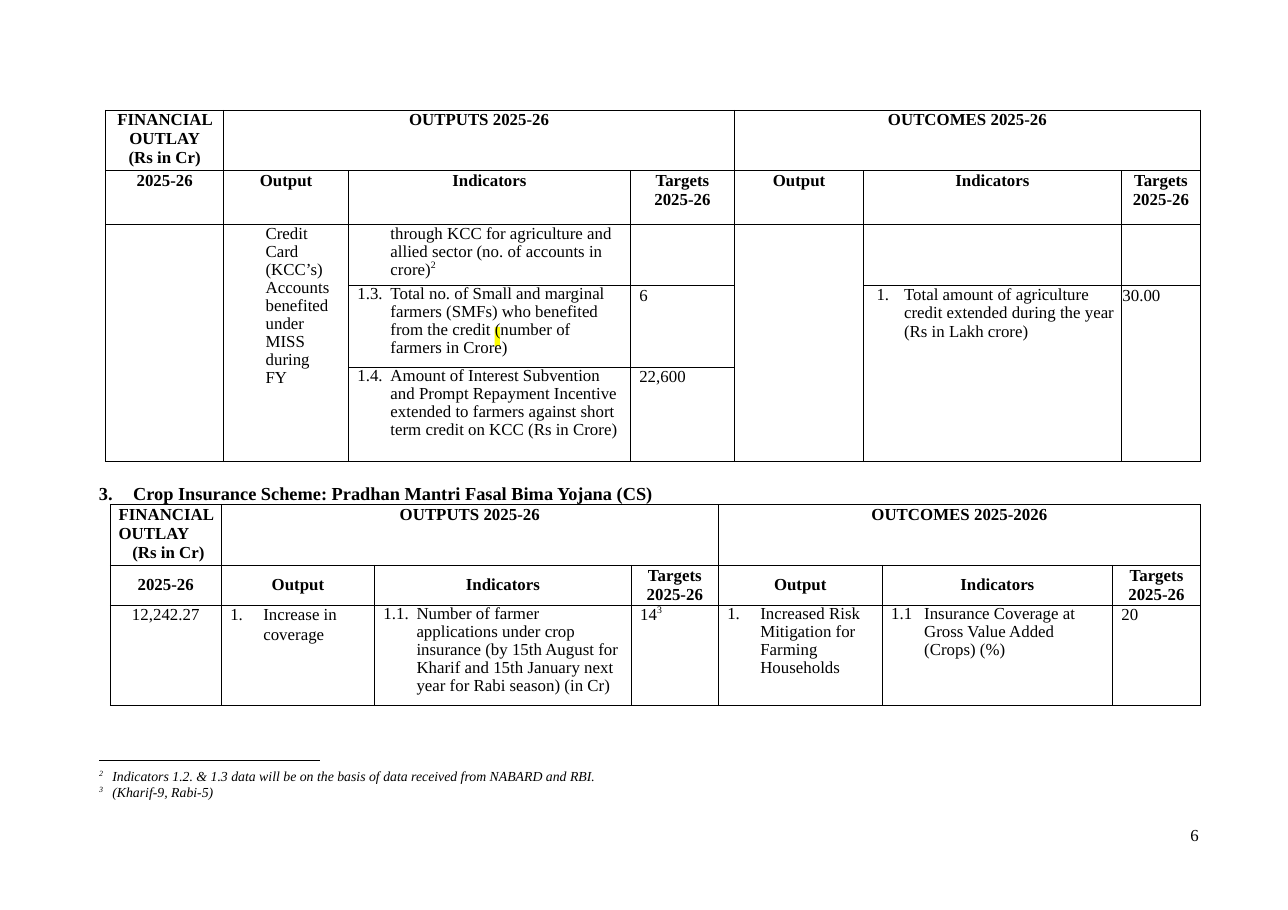
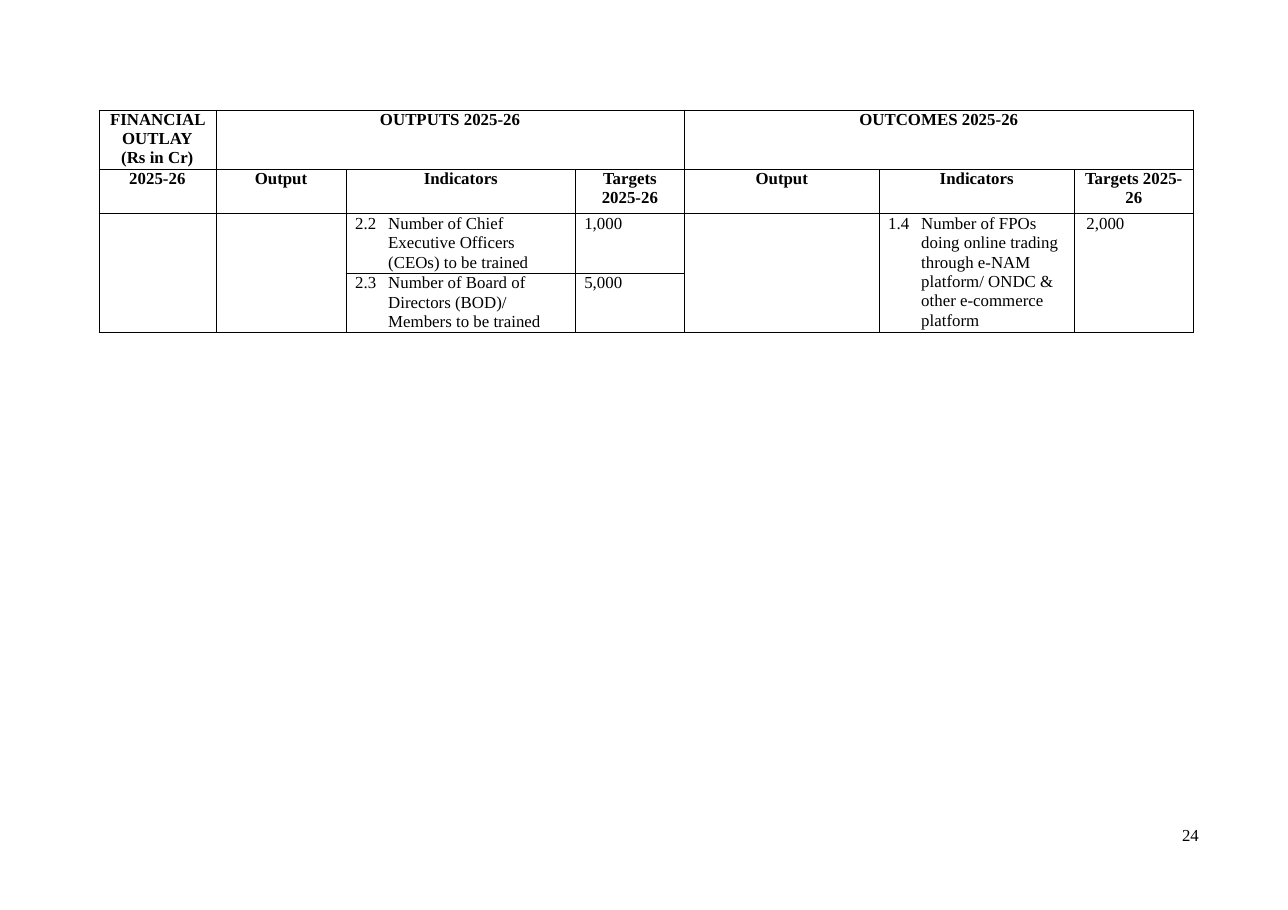
"""Build two pages of a budget output and outcome framework."""
from dataclasses import dataclass
from typing import Any

from lxml import etree
from pptx import Presentation
from pptx.dml.color import RGBColor
from pptx.enum.shapes import MSO_CONNECTOR, MSO_SHAPE
from pptx.enum.text import MSO_ANCHOR, MSO_AUTO_SIZE, PP_ALIGN
from pptx.oxml.ns import qn
from pptx.util import Pt

LEFT, CENTER, RIGHT = PP_ALIGN.LEFT, PP_ALIGN.CENTER, PP_ALIGN.RIGHT
TOP, MIDDLE = MSO_ANCHOR.TOP, MSO_ANCHOR.MIDDLE
STRAIGHT = MSO_CONNECTOR.STRAIGHT
RECTANGLE = MSO_SHAPE.RECTANGLE
NO_AUTOFIT = MSO_AUTO_SIZE.NONE
FONT = "Times New Roman"
BLACK, YELLOW = "000000", "FFFF00"
BORDER_WIDTH = 0.5
HEADER_PITCH = 12.5
ITEM_LEFT, ITEM_HANG, VALUE_LEFT = 27.4, 21.6, 5.8
HEADINGS = ("2025-26", "Output", "Indicators", "Targets\n2025-26") + (
    "Output", "Indicators")


@dataclass(frozen=True)
class Para:
    """A paragraph; text between carets is raised."""
    text: str
    left: float = 0
    hang: float = 0
    align: Any = LEFT
    size: float = 11
    bold: bool = False
    italic: bool = False
    pitch: float = 11.8


@dataclass(frozen=True)
class Cell:
    """A table cell with its place, span and inner right margin."""
    row: int
    column: int
    paras: tuple[Para, ...] = ()
    rows: int = 1
    columns: int = 1
    right: float = 0
    anchor: Any = TOP


@dataclass(frozen=True)
class Grid:
    """A framework table with the shared two-row header."""
    left: float
    top: float
    widths: tuple[float, ...]
    heights: tuple[float, ...]
    body: tuple[Cell, ...]
    outlay: tuple[Para, ...]
    outcomes: str = "OUTCOMES 2025-26"
    last_heading: str = "Targets\n2025-26"
    anchor: Any = TOP


def color(value: str) -> RGBColor:
    """Turn a hex string into a colour."""
    return RGBColor.from_string(value)


def heading(text: str, left: float = 0, align: Any = CENTER) -> Para:
    """Describe a bold header paragraph."""
    return Para(text, left, align=align, bold=True, pitch=HEADER_PITCH)


def item(text: str, pitch: float = 11.8) -> tuple[Para, ...]:
    """Describe a numbered item with a hanging indent."""
    return (Para(text, ITEM_LEFT, ITEM_HANG, pitch=pitch),)


def value(text: str, left: float = VALUE_LEFT) -> tuple[Para, ...]:
    """Describe a target value."""
    return (Para(text, left, pitch=12.7),)


def write(frame: Any, paras: tuple[Para, ...]) -> None:
    """Fill a text frame with formatted paragraphs."""
    for number, data in enumerate(paras):
        para = frame.add_paragraph() if number else frame.paragraphs[0]
        layout = {"alignment": data.align, "line_spacing": Pt(data.pitch),
                  "space_before": Pt(0), "space_after": Pt(0)}
        for name, setting in layout.items():
            setattr(para, name, setting)
        properties = para._p.get_or_add_pPr()
        properties.set("marL", str(Pt(data.left)))
        properties.set("indent", str(-Pt(data.hang)))
        for index, piece in enumerate(data.text.split("^")):
            for line_number, line in enumerate(piece.split("\n")):
                if line_number:
                    para.add_line_break()
                if line:
                    span = para.add_run()
                    span.text = line
                    style = {"name": FONT, "size": Pt(data.size),
                             "bold": data.bold, "italic": data.italic}
                    for name, setting in style.items():
                        setattr(span.font, name, setting)
                    span.font.color.rgb = color(BLACK)
                    if index % 2:
                        span._r.get_or_add_rPr().set("baseline", "40000")


def fill_frame(box: Any, paras: tuple[Para, ...]) -> None:
    """Set up a box without margins and write its text."""
    frame = box.text_frame
    settings = {"margin_left": 0, "margin_top": 0, "margin_right": 0,
                "margin_bottom": 0, "word_wrap": True,
                "auto_size": NO_AUTOFIT, "vertical_anchor": TOP}
    for name, setting in settings.items():
        setattr(frame, name, setting)
    write(frame, paras)


def add_text(page: Any, left: float, top: float, width: float, height: float,
             paras: tuple[Para, ...]) -> None:
    """Add a text box."""
    fill_frame(page.shapes.add_textbox(Pt(left), Pt(top), Pt(width), Pt(height)), paras)


def add_page_number(page: Any, number: str) -> None:
    """Add the page number in the footer."""
    add_text(page, 764, 539.3, 19.5, 14.4, (Para(number, align=RIGHT, pitch=13.1),))


def add_title(page: Any, text: str) -> None:
    """Place the section heading in the title placeholder."""
    title = page.shapes.title
    place = {"left": Pt(64), "top": Pt(315.6), "width": Pt(366), "height": Pt(16.5)}
    for name, setting in place.items():
        setattr(title, name, setting)
    fill_frame(title, (Para(text, 23, 22.3, size=12, bold=True, pitch=13.8),))


def add_highlight(page: Any, left: float, top: float, width: float, height: float) -> None:
    """Add a highlight mark that lies behind text."""
    mark = page.shapes.add_shape(RECTANGLE, Pt(left), Pt(top), Pt(width), Pt(height))
    mark.shadow.inherit = False
    mark.fill.solid()
    mark.fill.fore_color.rgb = color(YELLOW)
    mark.line.fill.background()


def add_rule(page: Any, left: float, top: float, width: float) -> None:
    """Add the footnote separator line."""
    rule = page.shapes.add_connector(STRAIGHT, Pt(left), Pt(top), Pt(left + width), Pt(top))
    rule.line.width = Pt(0.6)
    rule.line.color.rgb = color(BLACK)
    etree.SubElement(rule._element.spPr, qn("a:effectLst"))


def add_borders(cell: Any) -> None:
    """Draw the four borders of a table cell."""
    properties = cell._tc.get_or_add_tcPr()
    for side in ("lnL", "lnR", "lnT", "lnB"):
        line = etree.SubElement(properties, qn(f"a:{side}"), w=str(Pt(BORDER_WIDTH)))
        fill = etree.SubElement(line, qn("a:solidFill"))
        etree.SubElement(fill, qn("a:srgbClr"), val=BLACK)


def header_cells(grid: Grid) -> tuple[Cell, ...]:
    """Describe the two header rows of a framework table."""
    labels = HEADINGS + (grid.last_heading,)
    return (
        Cell(0, 0, grid.outlay),
        Cell(0, 1, (heading("OUTPUTS 2025-26"),), columns=3),
        Cell(0, 4, (heading(grid.outcomes),), columns=3),
    ) + tuple(Cell(1, column, (heading(label),), anchor=grid.anchor)
              for column, label in enumerate(labels))


def add_grid(page: Any, grid: Grid) -> None:
    """Add a framework table."""
    table = page.shapes.add_table(
        len(grid.heights), len(grid.widths), Pt(grid.left), Pt(grid.top),
        Pt(sum(grid.widths)), Pt(sum(grid.heights))).table
    table.first_row = table.horz_banding = False
    for column, width in zip(table.columns, grid.widths):
        column.width = Pt(width)
    for row, height in zip(table.rows, grid.heights):
        row.height = Pt(height)
    for cell in table.iter_cells():
        add_borders(cell)
        cell.fill.background()
        for side in ("left", "top", "right", "bottom"):
            setattr(cell, f"margin_{side}", 0)
    for data in header_cells(grid) + grid.body:
        cell = table.cell(data.row, data.column)
        if data.rows > 1 or data.columns > 1:
            cell.merge(table.cell(data.row + data.rows - 1,
                                  data.column + data.columns - 1))
        cell.margin_right = Pt(data.right)
        cell.vertical_anchor = data.anchor
        write(cell.text_frame, data.paras)


CENTERED_OUTLAY = (heading("FINANCIAL OUTLAY"), heading("(Rs in Cr)"))

CREDIT = Grid(
    69.1, 72, (77.1, 81.6, 184.2, 68.1, 84.3, 168.5, 51.7),
    (39.6, 35.3, 39.6, 53.3, 61.9),
    (
        Cell(2, 0, rows=3),
        Cell(2, 1, (Para("Credit Card (KCC’s) Accounts benefited under MISS during FY",
                         ITEM_LEFT),), rows=3, right=10.5),
        Cell(2, 2, (Para("through KCC for agriculture and allied sector "
                         "(no. of accounts in crore)^2^", ITEM_LEFT),), right=5),
        Cell(2, 4, rows=3),
        Cell(3, 2, item("1.3.\tTotal no. of Small and marginal farmers (SMFs) who "
                        "benefited from the credit (number of farmers in Crore)"), right=5),
        Cell(3, 3, value("6")),
        Cell(3, 5, (Para("1.\tTotal amount of agriculture credit extended during the "
                         "year (Rs in Lakh crore)", 26.5, 18, pitch=12.1),), rows=2),
        Cell(3, 6, value("30.00", 0.7), rows=2),
        Cell(4, 2, item("1.4.\tAmount of Interest Subvention and Prompt Repayment "
                        "Incentive extended to farmers against short term credit "
                        "on KCC (Rs in Crore)"), right=5),
        Cell(4, 3, value("22,600")),
    ),
    CENTERED_OUTLAY)

INSURANCE = Grid(
    72, 329.8, (72.7, 100.1, 167.8, 56.9, 107.1, 150.5, 57.5), (39.6, 25.9, 65.5),
    (
        Cell(2, 0, (Para("12,242.27", align=CENTER, pitch=12.7),)),
        Cell(2, 1, item("1.\tIncrease in coverage", 12.8)),
        Cell(2, 2, item("1.1.\tNumber of farmer\napplications under crop insurance "
                        "(by 15th August for Kharif and 15th January next year "
                        "for Rabi season) (in Cr)"), right=5),
        Cell(2, 3, value("14^3^")),
        Cell(2, 4, item("1.\tIncreased Risk Mitigation for Farming Households"), right=10),
        Cell(2, 5, item("1.1\tInsurance Coverage at Gross Value Added (Crops) (%)"),
             right=20),
        Cell(2, 6, value("20")),
    ),
    (heading("FINANCIAL OUTLAY", 5.5, LEFT), heading("(Rs in Cr)", 14.5, LEFT)),
    outcomes="OUTCOMES 2025-2026", anchor=MIDDLE)

TRAINING = Grid(
    64.6, 71.8, (76.5, 85.2, 149.8, 71.2, 127.4, 127.4, 77.8), (38.9, 28.8, 38.9, 38.9),
    (
        Cell(2, 0, rows=2),
        Cell(2, 1, rows=2),
        Cell(2, 2, item("2.2\tNumber of Chief Executive Officers (CEOs) to be trained",
                        12.7), right=15),
        Cell(2, 3, value("1,000")),
        Cell(2, 4, rows=2),
        Cell(2, 5, item("1.4\tNumber of FPOs doing online trading through e-NAM "
                        "platform/ ONDC & other e-commerce platform", 12.7),
             rows=2, right=5),
        Cell(2, 6, value("2,000", 8), rows=2),
        Cell(3, 2, item("2.3\tNumber of Board of Directors (BOD)/ Members to be trained",
                        12.7), right=15),
        Cell(3, 3, value("5,000")),
    ),
    CENTERED_OUTLAY, last_heading="Targets 2025-\n26")

FOOTNOTES = tuple(Para(text, 11.5, 8.6, size=9, italic=True, pitch=10.6) for text in (
    "^2^\tIndicators 1.2. & 1.3 data will be on the basis of data received from "
    "NABARD and RBI.",
    "^3^\t(Kharif-9, Rabi-5)"))


def main() -> None:
    """Build and save the deck."""
    deck = Presentation()
    deck.slide_width, deck.slide_height = Pt(841.7), Pt(594.7)

    schemes = deck.slides.add_slide(deck.slide_layouts[5])
    add_highlight(schemes, 323.3, 213.6, 3.4, 12.6)
    add_grid(schemes, CREDIT)
    add_title(schemes, "3.\tCrop Insurance Scheme: Pradhan Mantri Fasal Bima Yojana (CS)")
    add_grid(schemes, INSURANCE)
    add_rule(schemes, 64.8, 496.8, 144)
    add_text(schemes, 61.9, 502, 330, 23, FOOTNOTES)
    add_page_number(schemes, "6")

    producers = deck.slides.add_slide(deck.slide_layouts[6])
    add_page_number(producers, "24")
    add_grid(producers, TRAINING)

    deck.save("out.pptx")


if __name__ == "__main__":
    main()
